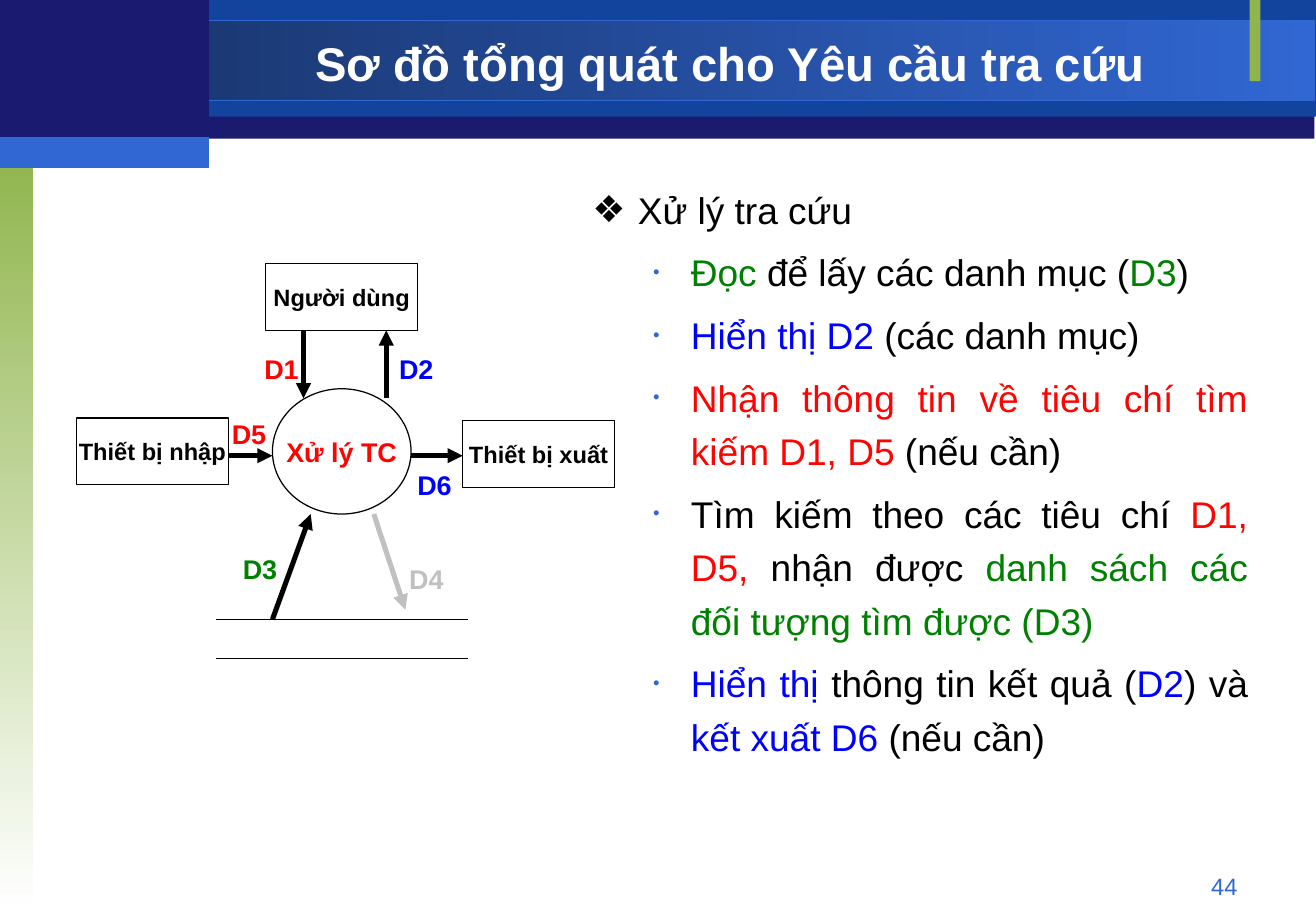
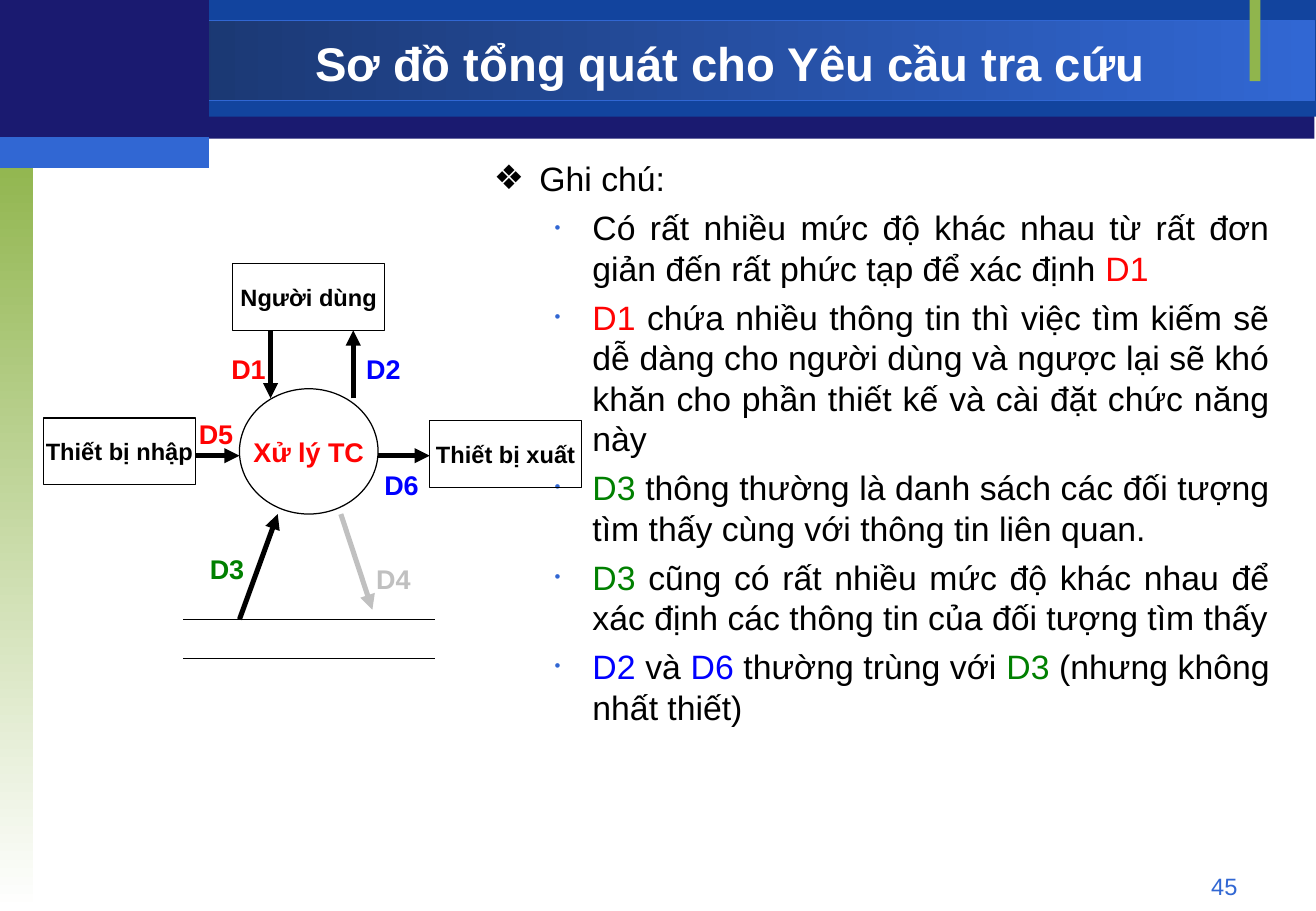
from dataclasses import dataclass

from lxml import etree
from pptx import Presentation
from pptx.dml.color import RGBColor
from pptx.enum.shapes import MSO_CONNECTOR, MSO_SHAPE
from pptx.enum.text import MSO_ANCHOR, MSO_AUTO_SIZE, PP_ALIGN
from pptx.oxml.ns import qn
from pptx.util import Cm, Pt

RECTANGLE, ELLIPSE = MSO_SHAPE.RECTANGLE, MSO_SHAPE.OVAL
STRAIGHT = MSO_CONNECTOR.STRAIGHT
MIDDLE, TOP = MSO_ANCHOR.MIDDLE, MSO_ANCHOR.TOP
LEFT, CENTER, RIGHT, JUSTIFY = PP_ALIGN.LEFT, PP_ALIGN.CENTER, PP_ALIGN.RIGHT, PP_ALIGN.JUSTIFY
NO_AUTOFIT = MSO_AUTO_SIZE.NONE

COLORS = {
    "navy": "1A1A70", "royal": "12449E", "dusk": "173062", "blue": "3167D3",
    "leaf": "90B54D", "white": "FFFFFF", "black": "000000", "gray": "C0C0C0",
    "input": "FF0303", "output": "0000FF", "data": "008000",
}
FONT = "Arial"
TITLE = "Sơ đồ tổng quát cho Yêu cầu tra cứu"
TITLE_FORMAT = {"size": Pt(28), "bold": True}
NUMBER_FORMAT = {"size": Pt(14)}
BOX_FORMAT = {"size": Pt(14), "bold": True}
FLOW_FORMAT = {"size": Pt(16), "bold": True}

Area = tuple[float, float, float, float]
Point = tuple[float, float]
Piece = tuple[str, str]


@dataclass(frozen=True)
class Band:
    area: Area
    fill: str
    fade_to: str = ""
    angle: int = 0
    line: str = ""


@dataclass(frozen=True)
class Node:
    text: str
    area: Area
    form: int = RECTANGLE
    color: str = "black"


@dataclass(frozen=True)
class Flow:
    """A labelled arrow of the data flow diagram."""
    name: str
    start: Point
    end: Point
    label: Point
    color: str
    arrow: str = "black"


@dataclass(frozen=True)
class Bullet:
    character: str
    color: str
    percent: int
    margin: float
    hanging: float


@dataclass(frozen=True)
class Page:
    number: int
    diagram_shift: float
    body: Area
    size: int
    line_spacing: float
    space_before: float
    items: list[list[Piece]]


BANDS = [
    Band((0, 0.03, 27.5, 2.87), "navy"),
    Band((4.37, 0, 23.16, 2.44), "royal"),
    Band((0, 0.43, 27.5, 1.68), "dusk", fade_to="blue", line="blue"),
    Band((0, 3.18, 0.69, 15.87), "leaf", fade_to="white", angle=270),
    Band((26.14, 0, 0.23, 1.7), "leaf"),
    Band((0, 0, 4.37, 2.97), "navy"),
    Band((0, 2.87, 4.37, 0.64), "blue"),
]
NODES = [
    Node("Người dùng", (5.56, 5.51, 3.18, 1.4)),
    Node("Thiết bị nhập", (1.6, 8.74, 3.18, 1.4)),
    Node("Thiết bị xuất", (9.68, 8.79, 3.18, 1.4)),
    Node("Xử lý TC", (5.7, 8.13, 2.9, 2.62), ELLIPSE, "input"),
]
STORE_LEFT, STORE_RIGHT = 4.52, 9.8
STORE_LINES = (12.95, 13.77)
FLOWS = [
    Flow("D1", (6.35, 6.91), (6.35, 8.33), (5.28, 7.24), "input"),
    Flow("D2", (8.08, 8.33), (8.08, 6.91), (8.1, 7.24), "output"),
    Flow("D3", (5.7, 12.95), (6.5, 10.75), (4.83, 11.43), "data"),
    Flow("D4", (7.82, 10.75), (8.48, 12.75), (8.31, 11.63), "gray", arrow="gray"),
    Flow("D5", (4.78, 9.53), (5.7, 9.53), (4.6, 8.61), "input"),
    Flow("D6", (8.6, 9.53), (9.68, 9.53), (8.48, 9.68), "output"),
]
HEADING_BULLET = Bullet("❖", "black", 100, 0.95, 0.95)
ITEM_BULLET = Bullet("•", "blue", 50, 2.06, 0.79)
PAGES = [
    Page(44, 0, (12.14, 3.6, 14.22, 13.97), 22, 1.2, 5.5, [
        [("Xử lý tra cứu", "black")],
        [("Đọc ", "data"), ("để lấy các danh mục (", "black"), ("D3", "data"), (")", "black")],
        [("Hiển thị D2", "output"), (" (các danh mục)", "black")],
        [("Nhận thông tin về tiêu chí tìm kiếm D1, D5", "input"), (" (nếu cần)", "black")],
        [("Tìm kiếm theo các tiêu chí ", "black"), ("D1, D5, ", "input"),
         ("nhận được ", "black"), ("danh sách các đối tượng tìm được (D3)", "data")],
        [("Hiển thị", "output"), (" thông tin kết quả (", "black"), ("D2", "output"),
         (") và ", "black"), ("kết xuất D6", "output"), (" (nếu cần)", "black")],
    ]),
    Page(45, -0.69, (10.08, 3.18, 16.74, 15.04), 20, 1.0, 5, [
        [("Ghi chú:", "black")],
        [("Có rất nhiều mức độ khác nhau từ rất đơn giản đến rất phức tạp để xác định ", "black"),
         ("D1", "input")],
        [("D1", "input"),
         (" chứa nhiều thông tin thì việc tìm kiếm sẽ dễ dàng cho người dùng và ngược lại"
          " sẽ khó khăn cho phần thiết kế và cài đặt chức năng này", "black")],
        [("D3", "data"),
         (" thông thường là danh sách các đối tượng tìm thấy cùng với thông tin liên quan.", "black")],
        [("D3", "data"),
         (" cũng có rất nhiều mức độ khác nhau để xác định các thông tin của đối tượng tìm thấy",
          "black")],
        [("D2", "output"), (" và ", "black"), ("D6", "output"), (" thường trùng với ", "black"),
         ("D3", "data"), (" (nhưng không nhất thiết)", "black")],
    ]),
]


def rgb(color: str) -> RGBColor:
    return RGBColor.from_string(COLORS[color])


def lengths(values) -> list[Cm]:
    return [Cm(value) for value in values]


def apply_format(target, values: dict) -> None:
    for name, value in values.items():
        setattr(target, name, value)


def place(shape, area: Area) -> None:
    apply_format(shape, dict(zip(("left", "top", "width", "height"), lengths(area))))


def add_run(paragraph, text: str, color: str, values: dict) -> None:
    run = paragraph.add_run()
    run.text = text
    apply_format(run.font, {"name": FONT, **values})
    run.font.color.rgb = rgb(color)


def write(shape, text: str, color: str, values: dict, alignment=CENTER,
          anchor=MIDDLE, wrap: bool = False) -> None:
    """Fill a shape with one formatted line of text."""
    frame = shape.text_frame
    apply_format(frame, {"auto_size": NO_AUTOFIT, "vertical_anchor": anchor, "word_wrap": wrap})
    paragraph = frame.paragraphs[0]
    paragraph.alignment = alignment
    add_run(paragraph, text, color, values)


def add_outlined(shapes, form: int, area: Area, line: str = ""):
    shape = shapes.add_shape(form, *lengths(area))
    shape.shadow.inherit = False
    if line:
        shape.line.color.rgb = rgb(line)
        shape.line.width = Pt(0.75)
    else:
        shape.line.fill.background()
    return shape


def add_band(shapes, band: Band):
    shape = add_outlined(shapes, RECTANGLE, band.area, band.line)
    if band.fade_to:
        shape.fill.gradient()
        shape.fill.gradient_angle = band.angle
        for stop, color in zip(shape.fill.gradient_stops, (band.fill, band.fade_to)):
            stop.color.rgb = rgb(color)
    else:
        shape.fill.solid()
        shape.fill.fore_color.rgb = rgb(band.fill)
    return shape


def move_bands_to_layout(slide, layout) -> None:
    """Draw the bands once and hand them to the layout that all slides share."""
    for identifier, band in enumerate(BANDS, start=100):
        element = add_band(slide.shapes, band).element
        element.nvSpPr.cNvPr.set("id", str(identifier))
        layout.shapes.element.append(element)


def add_line(shapes, start: Point, end: Point, color: str, width: float, arrow: bool = False) -> None:
    connector = shapes.add_connector(STRAIGHT, *lengths(start + end))
    connector.line.color.rgb = rgb(color)
    connector.line.width = Pt(width)
    if arrow:
        etree.SubElement(connector.line._get_or_add_ln(), qn("a:tailEnd"), type="triangle")
    etree.SubElement(connector.element.spPr, qn("a:effectLst"))


def add_diagram(slide, shift: float) -> None:
    group = slide.shapes.add_group_shape()
    shapes = group.shapes
    for node in NODES:
        shape = add_outlined(shapes, node.form, node.area, "black")
        shape.fill.background()
        write(shape, node.text, node.color, FLOW_FORMAT if node.form == ELLIPSE else BOX_FORMAT)
    for height in STORE_LINES:
        add_line(shapes, (STORE_LEFT, height), (STORE_RIGHT, height), "black", 0.75)
    for flow in FLOWS:
        add_line(shapes, flow.start, flow.end, flow.arrow, 3, arrow=True)
    for flow in FLOWS:
        label = shapes.add_textbox(*lengths(flow.label + (1.22, 0.94)))
        write(label, flow.name, flow.color, FLOW_FORMAT, LEFT, TOP)
    group.left += Cm(shift)


def set_bullet(paragraph, bullet: Bullet) -> None:
    properties = paragraph._p.get_or_add_pPr()
    properties.set("marL", str(Cm(bullet.margin)))
    properties.set("indent", str(-Cm(bullet.hanging)))
    color = etree.SubElement(properties, qn("a:buClr"))
    etree.SubElement(color, qn("a:srgbClr"), val=COLORS[bullet.color])
    etree.SubElement(properties, qn("a:buSzPct"), val=str(bullet.percent * 1000))
    etree.SubElement(properties, qn("a:buFont"), typeface=FONT)
    etree.SubElement(properties, qn("a:buChar"), char=bullet.character)


def fill_body(body, page: Page) -> None:
    place(body, page.body)
    frame = body.text_frame
    apply_format(frame, {"auto_size": NO_AUTOFIT, "vertical_anchor": TOP, "word_wrap": True})
    for index, pieces in enumerate(page.items):
        paragraph = frame.add_paragraph() if index else frame.paragraphs[0]
        set_bullet(paragraph, ITEM_BULLET if index else HEADING_BULLET)
        apply_format(paragraph, {
            "level": min(index, 1), "alignment": JUSTIFY, "line_spacing": page.line_spacing,
            "space_before": Pt(page.space_before if index else 0),
        })
        for text, color in pieces:
            add_run(paragraph, text, color, {"size": Pt(page.size)})


def add_page(presentation, layout, page: Page):
    slide = presentation.slides.add_slide(layout)
    title, body = slide.placeholders
    place(title, (4.37, 0.58, 21.79, 1.47))
    write(title, TITLE, "white", TITLE_FORMAT, wrap=True)
    fill_body(body, page)
    number = slide.shapes.add_textbox(*lengths((19.71, 18.11, 6.43, 0.69)))
    write(number, str(page.number), "blue", NUMBER_FORMAT, RIGHT, TOP, wrap=True)
    add_diagram(slide, page.diagram_shift)
    return slide


def main() -> None:
    presentation = Presentation()
    presentation.slide_width, presentation.slide_height = lengths((27.53, 19.05))
    layout = presentation.slide_layouts[1]
    slides = [add_page(presentation, layout, page) for page in PAGES]
    move_bands_to_layout(slides[0], layout)
    presentation.save("out.pptx")


if __name__ == "__main__":
    main()
